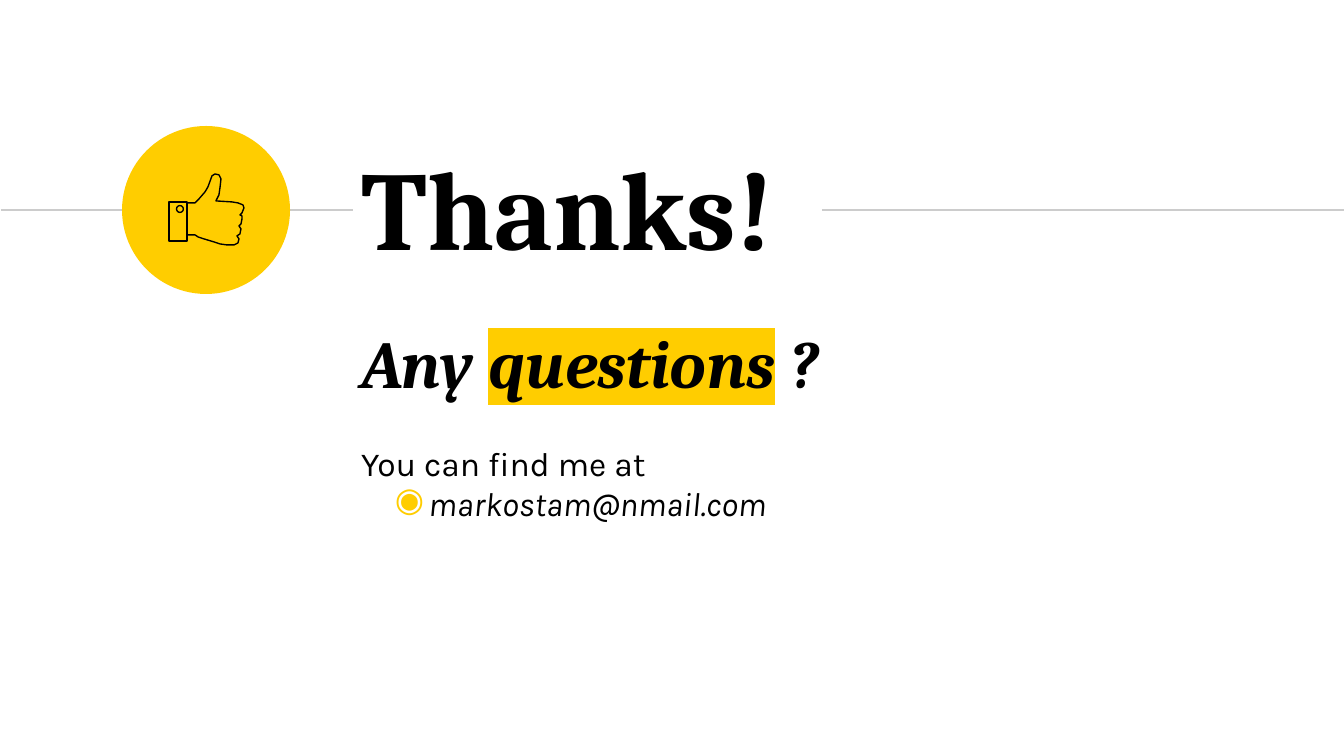
"""Build the closing slide with thanks, a contact line and a thumbs-up badge."""
import math
import pptx
import pptx.dml.color
import pptx.enum.shapes
import pptx.enum.text
import pptx.oxml
import pptx.util
from lxml import etree

PX = 914400 / 134.4
RGB = pptx.dml.color.RGBColor
BLACK = RGB(0x00, 0x00, 0x00)
GOLD = RGB(0xFF, 0xCD, 0x00)
GRAY = RGB(0xCC, 0xCC, 0xCC)
NS = "http://schemas.openxmlformats.org/drawingml/2006/main"


def px(*sizes):
    return [pptx.util.Emu(round(size * PX)) for size in sizes]


def write(para, text, face, size, bold=False, slant=False):
    run = para.add_run()
    run.text = text
    run.font.size = pptx.util.Pt(size)
    run.font.bold = bold
    run.font.italic = slant
    run.font.color.rgb = BLACK
    run.font.name = face
    return run


deck = pptx.Presentation()
deck.slide_width, deck.slide_height = px(1344, 756)
slide = deck.slides.add_slide(deck.slide_layouts[5])
shapes = slide.shapes

title = shapes.title
title.left, title.top, title.width, title.height = px(348, 120, 722, 171)
body = shapes.add_textbox(*px(348, 308, 738, 116))
for box, anchor in ((title, "MIDDLE"), (body, "TOP")):
    frame = box.text_frame
    frame.word_wrap = True
    frame.auto_size = pptx.enum.text.MSO_AUTO_SIZE.NONE
    frame.vertical_anchor = pptx.enum.text.MSO_ANCHOR[anchor]
    frame.margin_left = frame.margin_right = pptx.util.Inches(0.1)
    frame.margin_top = frame.margin_bottom = pptx.util.Inches(0.1)

head = title.text_frame.paragraphs[0]
head.alignment = pptx.enum.text.PP_ALIGN.LEFT
write(head, "Thanks!", "Cambria", 60, bold=True)

ask = body.text_frame.paragraphs[0]
for text in ("Any ", "questions", " ?"):
    run = write(ask, text, "Cambria", 36, bold=True, slant=True)
    if text == "questions":
        mark = etree.Element(f"{{{NS}}}highlight")
        etree.SubElement(mark, f"{{{NS}}}srgbClr", val=str(GOLD))
        run.font._element.find(f"{{{NS}}}latin").addprevious(mark)

find = body.text_frame.add_paragraph()
find.space_before = pptx.util.Pt(22)
write(find, "You can find me at", "Karla", 18)

mail = body.text_frame.add_paragraph()
props = mail._p.get_or_add_pPr()
props.set("marL", str(pptx.util.Inches(0.5)))
props.set("indent", str(pptx.util.Inches(-0.25)))
color = etree.SubElement(props, f"{{{NS}}}buClr")
etree.SubElement(color, f"{{{NS}}}srgbClr", val=str(GOLD))
etree.SubElement(props, f"{{{NS}}}buChar", char="◉")
write(mail, "markostam@nmail.com", "Karla", 18, slant=True)

for start, end in ((1, 353), (822, 1344)):
    rule = shapes.add_connector(
        pptx.enum.shapes.MSO_CONNECTOR.STRAIGHT, *px(start, 210, end, 210))
    rule.line.color.rgb = GRAY
    rule.line.width = pptx.util.Pt(0.75)
    etree.SubElement(rule._element.spPr, f"{{{NS}}}effectLst")

badge = shapes.add_shape(
    pptx.enum.shapes.MSO_SHAPE.OVAL, *px(122, 126, 168, 168))
badge.shadow.inherit = False
badge.fill.solid()
badge.fill.fore_color.rgb = GOLD
badge.line.fill.background()

cuff = [(169, 202), (169, 241), (187, 241), (187, 202)]
turns = [math.tau * step / 16 for step in range(16)]
stud = [(180 + 3.4 * math.cos(turn), 209 + 3.4 * math.sin(turn))
        for turn in turns]
hand = [
    (187, 235), (195, 235), (198, 237), (204, 239), (214, 242), (220, 244),
    (227, 245), (234, 245), (238, 243), (239, 239), (237, 236), (240, 234),
    (241, 229), (239, 226), (241, 224), (242, 219), (242, 216), (240, 215),
    (242, 213), (244, 208), (243, 205), (238, 203), (232, 202), (216, 201),
    (219, 195), (220, 188), (221, 179), (219, 175), (215, 174), (212, 176),
    (208, 187), (205, 192), (199, 199), (195, 203), (187, 203)]

thumb = shapes.add_group_shape()
for loops, closed in (((cuff, stud), True), ((hand,), False)):
    first, *rest = loops
    pen = thumb.shapes.build_freeform(*px(*first[0]))
    pen.add_line_segments([px(*dot) for dot in first[1:]], close=closed)
    for loop in rest:
        pen.move_to(*px(*loop[0]))
        pen.add_line_segments([px(*dot) for dot in loop[1:]], close=closed)
    part = pen.convert_to_shape()
    part.shadow.inherit = False
    part.fill.background()
    part.line.color.rgb = BLACK
    part.line.width = pptx.util.Pt(0.75)

deck.save("out.pptx")
